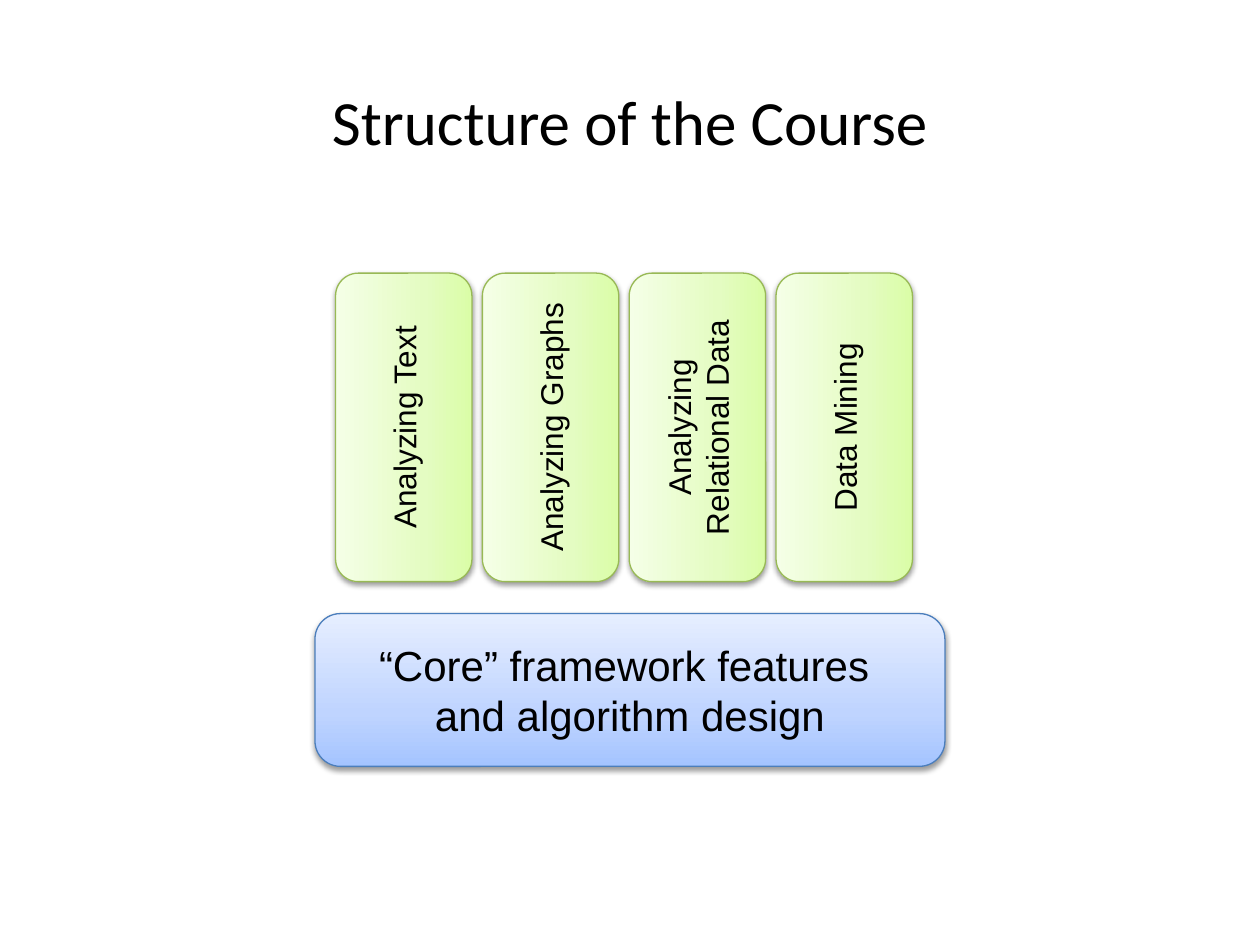
from lxml import etree
from pptx import Presentation, oxml
from pptx import util as u
from pptx.dml.color import RGBColor
from pptx.enum import shapes, text
from pptx.oxml import ns

COLORS = {
    "text": "000000",
    "core_line": "4B7EBC",
    "core_fill": ["A4C4FF", "BFD4FF", "E6EEFF"],
    "topic_line": "98B955",
    "topic_fill": ["DAFDA7", "E4FCC2", "F5FFE7"],
}
STOPS = [0, 35, 100]
TOPICS = ["Analyzing Text", "Analyzing Graphs", "Analyzing Relational Data", "Data Mining"]


def write_text(shape, wording, size, font):
    """Put centred, wrapped text in the middle of a shape."""
    frame = shape.text_frame
    frame.word_wrap = True
    frame.vertical_anchor = text.MSO_ANCHOR.MIDDLE
    frame.text = wording
    for para in frame.paragraphs:
        para.alignment = text.PP_ALIGN.CENTER
        for span in para.runs:
            span.font.size = u.Pt(size)
            span.font.name = font
            span.font.color.rgb = RGBColor.from_string(COLORS["text"])


def set_gradient(shape, colors):
    """Fill a shape with a gradient that runs from its bottom to its top."""
    shape.fill.gradient()
    shape.fill.gradient_angle = 90
    stop_list = shape.element.spPr.find(".//" + ns.qn("a:gsLst"))
    for stop in list(stop_list):
        stop_list.remove(stop)
    for position, color in zip(STOPS, colors):
        stop = etree.SubElement(stop_list, ns.qn("a:gs"), pos=str(position * 1000))
        etree.SubElement(stop, ns.qn("a:srgbClr"), val=color)


def set_shadow(shape):
    """Give a shape a soft shadow below it."""
    shape.shadow.inherit = False
    effects = shape.element.spPr.find(ns.qn("a:effectLst"))
    effects.append(oxml.parse_xml(
        f'<a:outerShdw {ns.nsdecls("a")} blurRad="{u.Pt(3.1)}" dist="{u.Pt(1.6)}" '
        'dir="5400000" rotWithShape="0"><a:srgbClr val="000000">'
        '<a:alpha val="38000"/></a:srgbClr></a:outerShdw>'))


def add_block(page, bounds, style, wording, size, rotation=0):
    """Add a rounded block with gradient, outline, shadow and text."""
    block = page.shapes.add_shape(
        shapes.MSO_SHAPE.ROUNDED_RECTANGLE, *map(u.Cm, bounds))
    block.rotation = rotation
    set_gradient(block, COLORS[style + "_fill"])
    block.line.color.rgb = RGBColor.from_string(COLORS[style + "_line"])
    block.line.width = u.Pt(0.75)
    set_shadow(block)
    write_text(block, wording, size, "Arial")


def add_title(page, wording):
    """Add the title across the full slide width."""
    box = page.shapes.add_textbox(u.Cm(0), u.Cm(1.47), u.Cm(25.4), u.Cm(1.9))
    write_text(box, wording, 36, "Calibri")


def main():
    """Build the slide and save it."""
    deck = Presentation()
    deck.slide_width, deck.slide_height = u.Cm(25.4), u.Cm(19.05)
    page = deck.slides.add_slide(deck.slide_layouts[6])
    add_title(page, "Structure of the Course")
    add_block(page, (6.35, 12.37, 12.7, 3.08), "core",
              "“Core” framework features \vand algorithm design", 24)
    for index, topic in enumerate(TOPICS):
        add_block(page, (5.03 + 2.96 * index, 7.24, 6.22, 2.75), "topic", topic, 18, 270)
    deck.save("out.pptx")


if __name__ == "__main__":
    main()
